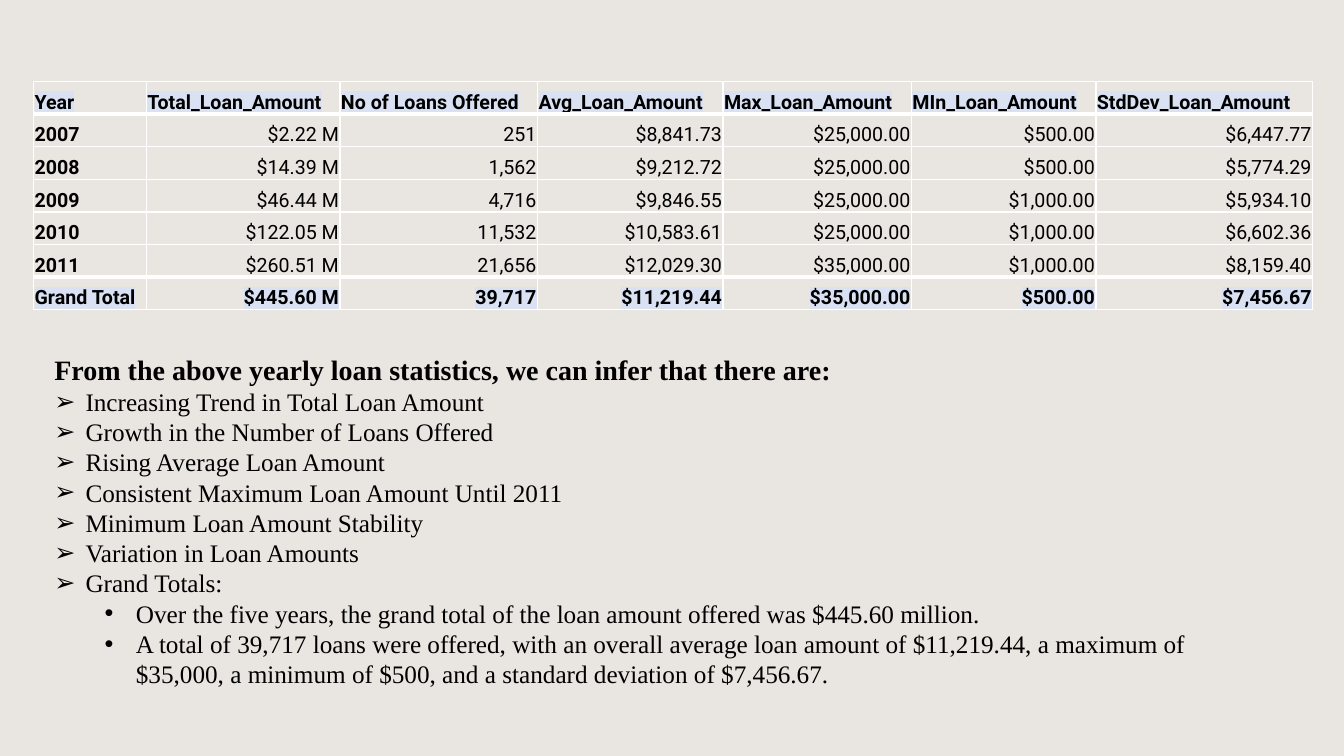
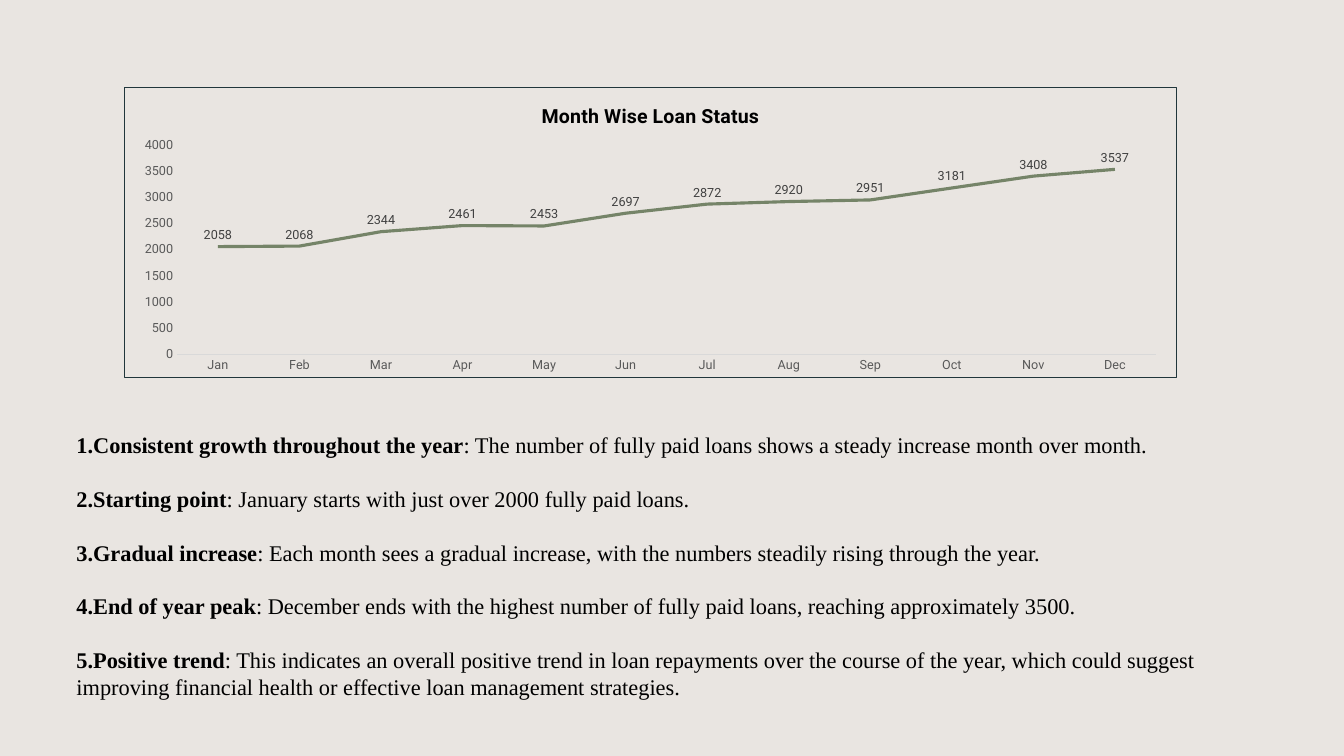
import pptx
import pptx.chart.data
import pptx.dml.color
import pptx.enum.chart
import pptx.enum.text
import pptx.oxml
import pptx.oxml.ns
import pptx.util

RGBColor = pptx.dml.color.RGBColor
Pt = pptx.util.Pt
PAPER = RGBColor(0xE9, 0xE5, 0xE1)
WHITE = RGBColor(0xFF, 0xFF, 0xFF)
BLACK = RGBColor(0x00, 0x00, 0x00)
HIGHLIGHT = RGBColor(0xD9, 0xE1, 0xF2)
SAGE = RGBColor(0x75, 0x84, 0x68)
FRAME = RGBColor(0x21, 0x36, 0x3B)
AXIS_TEXT = RGBColor(0x59, 0x59, 0x59)
AXIS_LINE = RGBColor(0xD9, 0xD9, 0xD9)
LABEL_TEXT = RGBColor(0x40, 0x40, 0x40)

COLS, ROWS = 160, 90
DATA_FONT = "Roboto"
BODY_FONT = "Times New Roman"
LEADING = 1.2
ARROW, DOT, NUMBER = "➢", "•", "number"


def xml(tag, attrs="", inner=""):
    ns = pptx.oxml.ns.nsdecls("a", "c")
    return pptx.oxml.parse_xml(f"<{tag} {ns} {attrs}>{inner}</{tag}>")


def solid(color):
    return f'<a:solidFill><a:srgbClr val="{color}"/></a:solidFill>'


class Deck:
    def __init__(self):
        self.prs = pptx.Presentation()
        self.prs.slide_width = pptx.util.Inches(13.33)
        self.prs.slide_height = pptx.util.Inches(7.5)
        fill = self.prs.slide_master.background.fill
        fill.solid()
        fill.fore_color.rgb = PAPER
        self.s = None

    def new_slide(self):
        self.s = self.prs.slides.add_slide(self.prs.slide_layouts[6])

    def x(self, cols):
        return int(self.prs.slide_width * cols / COLS)

    def y(self, rows):
        return int(self.prs.slide_height * rows / ROWS)

    def box(self, left, top, width, height):
        return self.x(left), self.y(top), self.x(width), self.y(height)

    def font(self, font, size, color, name=DATA_FONT, bold=False):
        font.size, font.name, font.bold = Pt(size), name, bold
        font.color.rgb = color

    def run(self, p, text, size, name, bold=False, highlight=None):
        r = p.add_run()
        r.text = text
        self.font(r.font, size, BLACK, name, bold)
        if highlight is not None:
            mark = xml("a:highlight", "", f'<a:srgbClr val="{highlight}"/>')
            r.font._element.find(pptx.oxml.ns.qn("a:solidFill")).addnext(mark)

    def bullet(self, p, kind):
        pPr = p._p.get_or_add_pPr()
        if kind == NUMBER:
            margin = indent = 0
            mark = xml("a:buAutoNum", 'type="arabicPeriod"')
        else:
            margin = pptx.util.Inches(0.81 if kind == DOT else 0.31)
            indent = -pptx.util.Inches(0.31)
            mark = xml("a:buChar", f'char="{kind}"')
            p.level = 1 if kind == DOT else 0
            pPr.append(xml("a:buFont", 'typeface="Arial"'))
        pPr.set("marL", str(margin))
        pPr.set("indent", str(indent))
        pPr.append(mark)

    def text(self, place, paragraphs, gap=0):
        tf = self.s.shapes.add_textbox(*self.box(*place)).text_frame
        tf.word_wrap = True
        for i, (kind, size, runs) in enumerate(paragraphs):
            p = tf.paragraphs[0] if i == 0 else tf.add_paragraph()
            p.line_spacing = Pt(size * LEADING)
            p.space_after = Pt(gap)
            if kind:
                self.bullet(p, kind)
            for words, bold in runs:
                self.run(p, words, size, BODY_FONT, bold)

    def cell(self, cell, text, right, bold, highlight, top, bottom):
        cell.fill.background()
        cell.vertical_anchor = pptx.enum.text.MSO_ANCHOR.BOTTOM
        cell.margin_left = cell.margin_right = cell.margin_top = pptx.util.Inches(0.01)
        cell.margin_bottom = 0
        p = cell.text_frame.paragraphs[0]
        align = pptx.enum.text.PP_ALIGN
        p.alignment = align.RIGHT if right else align.LEFT
        self.run(p, text, 14, DATA_FONT, bold, highlight)
        tcPr = cell._tc.get_or_add_tcPr()
        sides = (("L", 1), ("R", 1), ("T", top), ("B", bottom))
        for i, (side, width) in enumerate(sides):
            tcPr.insert(i, xml(f"a:ln{side}", f'w="{Pt(width)}"', solid(WHITE)))

    def table(self, left, top, widths, row_height, rows):
        place = self.box(left, top, sum(widths), row_height * len(rows))
        table = self.s.shapes.add_table(len(rows), len(widths), *place).table
        for column, width in zip(table.columns, widths):
            column.width = self.x(width)
        last = len(rows) - 1
        for i, row in enumerate(rows):
            table.rows[i].height = self.y(row_height)
            edge = i in (0, last)
            for j, text in enumerate(row):
                self.cell(
                    table.cell(i, j), text,
                    right=i > 0 and j > 0,
                    bold=edge or j == 0,
                    highlight=HIGHLIGHT if edge else None,
                    top=3 if i in (1, last) else 1,
                    bottom=3 if i in (0, last - 1) else 1,
                )

    def line_chart(self, place, title, categories, values):
        data = pptx.chart.data.CategoryChartData()
        data.categories = categories
        data.add_series("Series 1", values)
        enum = pptx.enum.chart
        chart = self.s.shapes.add_chart(
            enum.XL_CHART_TYPE.LINE, *self.box(*place), data).chart
        self.font(chart.font, 10, BLACK)
        chart.has_legend = False
        chart.has_title = True
        p = chart.chart_title.text_frame.paragraphs[0]
        self.run(p, title, 14, DATA_FONT, True)
        chart.chart_title.include_in_layout = False
        for axis in (chart.category_axis, chart.value_axis):
            axis.has_major_gridlines = False
            axis.major_tick_mark = enum.XL_TICK_MARK.NONE
            axis.minor_tick_mark = enum.XL_TICK_MARK.NONE
            self.font(axis.tick_labels.font, 9, AXIS_TEXT)
        line = chart.category_axis.format.line
        line.color.rgb, line.width = AXIS_LINE, Pt(0.75)
        axis = chart.value_axis
        axis.format.line.fill.background()
        axis.minimum_scale, axis.maximum_scale, axis.major_unit = 0, 4000, 500
        plot = chart.plots[0]
        plot.vary_by_categories = False
        plot.has_data_labels = True
        labels = plot.data_labels
        labels.show_value = True
        labels.position = enum.XL_LABEL_POSITION.ABOVE
        self.font(labels.font, 9, LABEL_TEXT)
        series = plot.series[0]
        series.smooth = False
        series.marker.style = enum.XL_MARKER_STYLE.NONE
        series.format.line.color.rgb = SAGE
        series.format.line.width = Pt(2.25)
        self.chart_frame(chart)

    def chart_frame(self, chart):
        qn = pptx.oxml.ns.qn
        border = f'<a:noFill/><a:ln w="{Pt(0.75)}">{solid(FRAME)}</a:ln>'
        root = chart._chartSpace.find(qn("c:chart"))
        root.addnext(xml("c:spPr", "", border))
        area = root.find(qn("c:plotArea"))
        for old in area.findall(qn("c:layout")):
            area.remove(old)
        inner = '<c:layoutTarget val="inner"/><c:xMode val="edge"/><c:yMode val="edge"/>'
        for key, share in (("x", 0.05), ("y", 0.2), ("w", 0.93), ("h", 0.72)):
            inner += f'<c:{key} val="{share}"/>'
        area.insert(0, xml("c:layout", "", f"<c:manualLayout>{inner}</c:manualLayout>"))


LOANS = [
    ("Year", "Total_Loan_Amount", "No of Loans Offered", "Avg_Loan_Amount",
     "Max_Loan_Amount", "MIn_Loan_Amount", "StdDev_Loan_Amount"),
    ("2007", "$2.22 M", "251", "$8,841.73", "$25,000.00", "$500.00", "$6,447.77"),
    ("2008", "$14.39 M", "1,562", "$9,212.72", "$25,000.00", "$500.00", "$5,774.29"),
    ("2009", "$46.44 M", "4,716", "$9,846.55", "$25,000.00", "$1,000.00", "$5,934.10"),
    ("2010", "$122.05 M", "11,532", "$10,583.61", "$25,000.00", "$1,000.00", "$6,602.36"),
    ("2011", "$260.51 M", "21,656", "$12,029.30", "$35,000.00", "$1,000.00", "$8,159.40"),
    ("Grand Total", "$445.60 M", "39,717", "$11,219.44", "$35,000.00", "$500.00", "$7,456.67"),
]
TRENDS = [
    "Increasing Trend in Total Loan Amount",
    "Growth in the Number of Loans Offered",
    "Rising Average Loan Amount",
    "Consistent Maximum Loan Amount Until 2011",
    "Minimum Loan Amount Stability",
    "Variation in Loan Amounts",
    "Grand Totals:",
]
TOTALS = [
    "Over the five years, the grand total of the loan amount offered was $445.60 million.",
    "A total of 39,717 loans were offered, with an overall average loan amount of $11,219.44, "
    "a maximum of $35,000, a minimum of $500, and a standard deviation of $7,456.67.",
]
MONTHS = ("Jan", "Feb", "Mar", "Apr", "May", "Jun", "Jul", "Aug", "Sep", "Oct", "Nov", "Dec")
PAID = (2058, 2068, 2344, 2461, 2453, 2697, 2872, 2920, 2951, 3181, 3408, 3537)
FINDINGS = [
    ("Consistent growth throughout the year",
     ": The number of fully paid loans shows a steady increase month over month."),
    ("Starting point", ": January starts with just over 2000 fully paid loans."),
    ("Gradual increase",
     ": Each month sees a gradual increase, with the numbers steadily rising through the year."),
    ("End of year peak",
     ": December ends with the highest number of fully paid loans, reaching approximately 3500."),
    ("Positive trend",
     ": This indicates an overall positive trend in loan repayments over the course of the year, "
     "which could suggest improving financial health or effective loan management strategies."),
]


def main():
    deck = Deck()
    deck.new_slide()
    deck.table(4, 9.72, (13.44, 23.04, 23.52, 22.08, 22.44, 21.96, 25.8), 3.88, LOANS)
    heading = "From the above yearly loan statistics, we can infer that there are:"
    deck.text(
        (5.28, 41.4, 147.36, 41.64),
        [(None, 20, [(heading, True)])]
        + [(ARROW, 18, [(trend, False)]) for trend in TRENDS]
        + [(DOT, 18, [(total, False)]) for total in TOTALS],
    )

    deck.new_slide()
    deck.line_chart((14.76, 10.32, 125.4, 34.68), "Month Wise Loan Status", MONTHS, PAID)
    deck.text(
        (7.92, 50.76, 144.24, 33.48),
        [(NUMBER, 16, [(lead, True), (rest, False)]) for lead, rest in FINDINGS],
        gap=16 * LEADING,
    )
    deck.prs.save("out.pptx")


if __name__ == "__main__":
    main()
